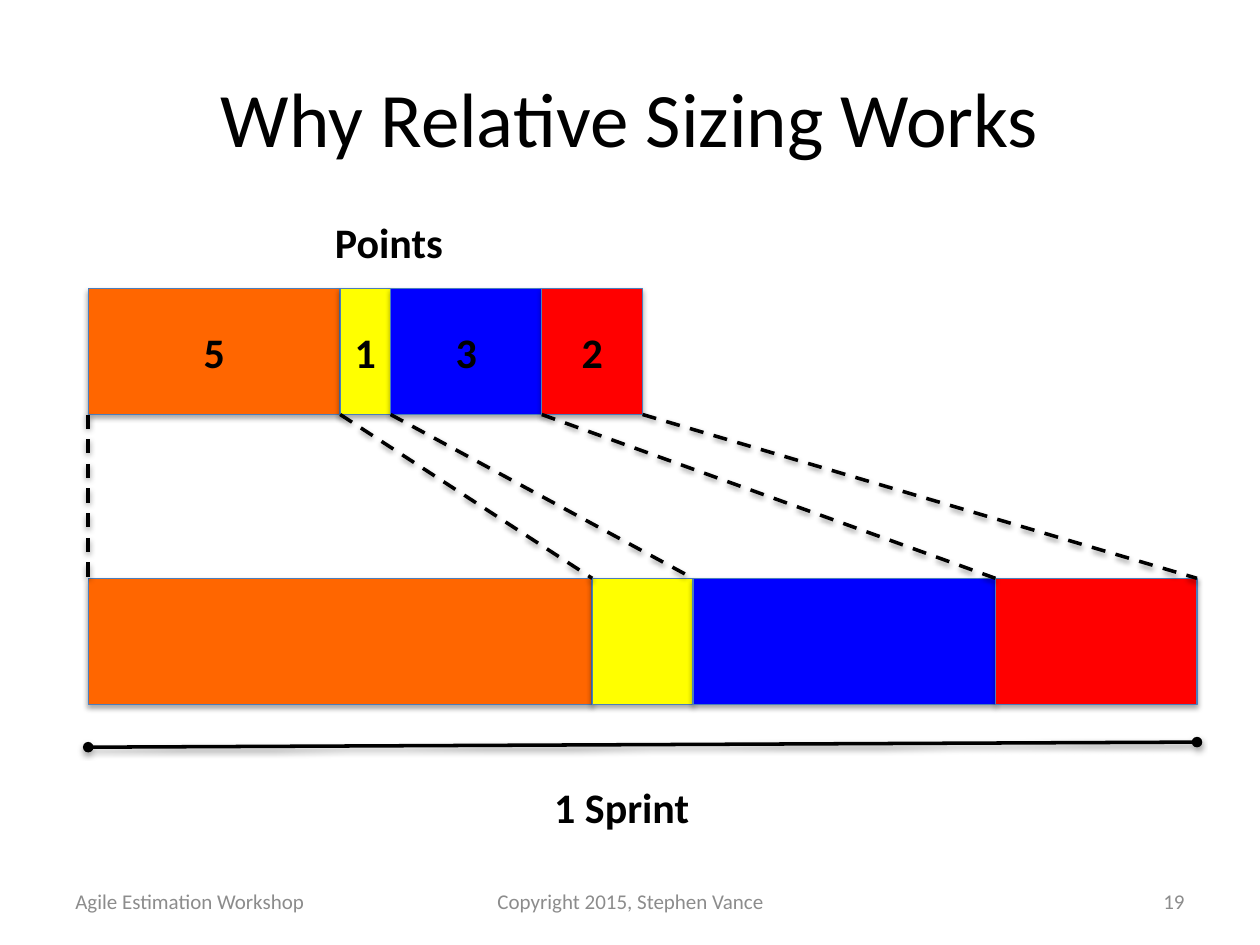
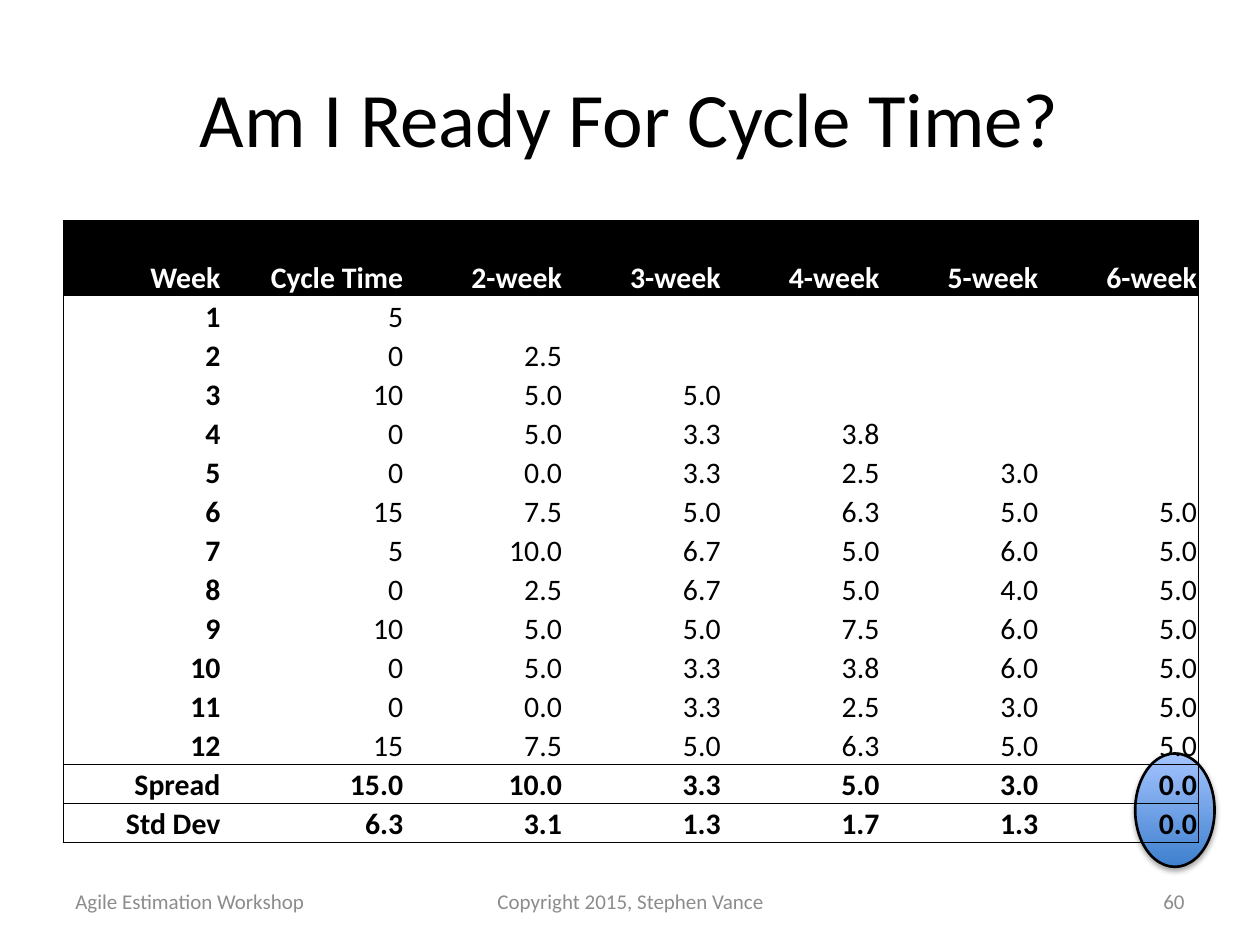
import pptx
import pptx.util
import pptx.dml.color
import pptx.enum.dml
import pptx.enum.shapes
import pptx.enum.text
import pptx.oxml.ns
from lxml import etree

Inches = pptx.util.Inches
Pt = pptx.util.Pt
rgb = pptx.dml.color.RGBColor.from_string
qn = pptx.oxml.ns.qn
align = pptx.enum.text.PP_ALIGN
anchor = pptx.enum.text.MSO_ANCHOR
kinds = pptx.enum.shapes.MSO_SHAPE
straight = pptx.enum.shapes.MSO_CONNECTOR.STRAIGHT

colors = {
    "black": "000000", "white": "FFFFFF", "gray": "8C8C8C", "edge": "4B7EBC",
    "orange": "FF6600", "yellow": "FFFF00", "blue": "0000FF", "red": "FF0000",
    "deep": "3F80CE", "pale": "A4C4FF",
}


def write(frame, words, size, color="black", bold=False, side=align.CENTER):
    frame.text = words
    line = frame.paragraphs[0]
    line.alignment = side
    for run in line.runs:
        run.font.name = "Calibri"
        run.font.size = Pt(size)
        run.font.bold = bold
        run.font.color.rgb = rgb(colors[color])


def shade(part, alpha, drop):
    props = part._element.spPr
    effects = props.find(qn("a:effectLst"))
    if effects is None:
        effects = etree.SubElement(props, qn("a:effectLst"))
    shadow = etree.SubElement(effects, qn("a:outerShdw"), blurRad="40000",
                              dist=str(drop), dir="5400000", rotWithShape="0")
    tint = etree.SubElement(shadow, qn("a:srgbClr"), val=colors["black"])
    etree.SubElement(tint, qn("a:alpha"), val=str(alpha * 1000))


deck = pptx.Presentation()
deck.slide_width = Inches(10)
deck.slide_height = Inches(7.5)
sizing = deck.slides.add_slide(deck.slide_layouts[6])
cycle = deck.slides.add_slide(deck.slide_layouts[6])

oval = cycle.shapes.add_shape(kinds.OVAL, Inches(9.01), Inches(5.98),
                              Inches(0.63), Inches(0.9))
oval.shadow.inherit = False
oval.fill.gradient()
oval.fill.gradient_angle = 90
for stop, color in zip(oval.fill.gradient_stops, ("deep", "pale")):
    stop.color.rgb = rgb(colors[color])
oval.line.color.rgb = rgb(colors["black"])
oval.line.width = Pt(1.5)
shade(oval, 35, 23000)

for slide, title, page in ((sizing, "Why Relative Sizing Works", "19"),
                           (cycle, "Am I Ready For Cycle Time?", "60")):
    for words, left, top, width, height, size, color, side in (
        (title, 0.5, 0.3, 9, 1.25, 44, "black", align.CENTER),
        ("Agile Estimation Workshop", 0.5, 6.95, 2.33, 0.4, 12, "gray", align.LEFT),
        ("Copyright 2015, Stephen Vance", 3.42, 6.95, 3.17, 0.4, 12, "gray", align.CENTER),
        (page, 7.17, 6.95, 2.33, 0.4, 12, "gray", align.RIGHT),
    ):
        box = slide.shapes.add_textbox(Inches(left), Inches(top), Inches(width), Inches(height))
        box.text_frame.word_wrap = True
        box.text_frame.vertical_anchor = anchor.MIDDLE
        write(box.text_frame, words, size, color, side=side)

start = 0.7
high, low, tall = 2.29, 4.59, 1
tasks = ((5, "orange"), (1, "yellow"), (3, "blue"), (2, "red"))
group = sizing.shapes.add_group_shape()
for shapes, top, scale, named in ((sizing.shapes, high, 0.4, True),
                                  (group.shapes, low, 0.8, False)):
    done = 0
    for points, color in tasks:
        bar = shapes.add_shape(kinds.RECTANGLE, Inches(start + done * scale), Inches(top),
                               Inches(points * scale), Inches(tall))
        bar.shadow.inherit = False
        bar.fill.solid()
        bar.fill.fore_color.rgb = rgb(colors[color])
        bar.line.color.rgb = rgb(colors["edge"])
        bar.line.width = Pt(0.75)
        shade(bar, 35, 23000)
        if named:
            bar.text_frame.vertical_anchor = anchor.MIDDLE
            write(bar.text_frame, str(points), 24, bold=True)
        done += points

lines = [(start + sum(points for points, color in tasks[:i]) * 0.4, high + tall,
          start + sum(points for points, color in tasks[:i]) * 0.8, low, True)
         for i in range(len(tasks) + 1)]
lines.append((start, 5.93, 9.5, 5.89, False))
for left, top, right, base, dashed in lines:
    link = sizing.shapes.add_connector(straight, Inches(left), Inches(top),
                                       Inches(right), Inches(base))
    link.line.color.rgb = rgb(colors["black"])
    link.line.width = Pt(2)
    if dashed:
        link.line.dash_style = pptx.enum.dml.MSO_LINE.DASH
    else:
        for end in ("a:headEnd", "a:tailEnd"):
            etree.SubElement(link.line._get_or_add_ln(), qn(end), type="oval")
    shade(link, 38, 20000)

for words, left, top, width in (("Points", 2.56, 1.67, 1.08), ("1 Sprint", 4.3, 6.15, 1.29)):
    label = sizing.shapes.add_textbox(Inches(left), Inches(top), Inches(width), Inches(0.5))
    label.text_frame.word_wrap = False
    label.text_frame.auto_size = pptx.enum.text.MSO_AUTO_SIZE.SHAPE_TO_FIT_TEXT
    write(label.text_frame, words, 24, bold=True, side=align.LEFT)

rows = (
    ("Week", "Cycle Time", "2-week", "3-week", "4-week", "5-week", "6-week"),
    ("1", "5"),
    ("2", "0", "2.5"),
    ("3", "10", "5.0", "5.0"),
    ("4", "0", "5.0", "3.3", "3.8"),
    ("5", "0", "0.0", "3.3", "2.5", "3.0"),
    ("6", "15", "7.5", "5.0", "6.3", "5.0", "5.0"),
    ("7", "5", "10.0", "6.7", "5.0", "6.0", "5.0"),
    ("8", "0", "2.5", "6.7", "5.0", "4.0", "5.0"),
    ("9", "10", "5.0", "5.0", "7.5", "6.0", "5.0"),
    ("10", "0", "5.0", "3.3", "3.8", "6.0", "5.0"),
    ("11", "0", "0.0", "3.3", "2.5", "3.0", "5.0"),
    ("12", "15", "7.5", "5.0", "6.3", "5.0", "5.0"),
    ("Spread", "15.0", "10.0", "3.3", "5.0", "3.0", "0.0"),
    ("Std Dev", "6.3", "3.1", "1.3", "1.7", "1.3", "0.0"),
)
last, edge = len(rows) - 1, len(rows[0]) - 1
frame = cycle.shapes.add_table(len(rows), len(rows[0]), Inches(0.5), Inches(1.75),
                               Inches(9), Inches(4.95))
table = frame.table
table.first_row = False
table.horz_banding = False
table._tbl.tblPr.find(qn("a:tableStyleId")).text = "{2D5ABB26-0587-4C30-8999-92F81FD0307C}"
for c, column in enumerate(table.columns):
    column.width = Inches(1.45 if c == 1 else 1.26)
for r, row in enumerate(rows):
    table.rows[r].height = Inches(0.6 if r == 0 else 0.31)
    for c in range(edge + 1):
        cell = table.cell(r, c)
        cell.margin_left = cell.margin_right = cell.margin_top = Inches(0.01)
        cell.margin_bottom = 0
        cell.vertical_anchor = anchor.BOTTOM
        if c < len(row):
            write(cell.text_frame, row[c], 17, "white" if r == 0 else "black",
                  r in (0, last - 1, last) or c == 0, align.RIGHT)
        else:
            etree.SubElement(cell.text_frame.paragraphs[0]._p, qn("a:endParaRPr"), sz="1700")
        for tag, drawn, width in (
            ("a:lnL", c == 0, 0.5),
            ("a:lnR", c == edge, 0.5),
            ("a:lnT", r in (0, last - 1), 0.5 if r == 0 else 1),
            ("a:lnB", r in (last - 2, last), 0.5 if r == last else 1),
        ):
            if drawn:
                rule = etree.SubElement(cell._tc.get_or_add_tcPr(), qn(tag), w=str(Pt(width)))
                fill = etree.SubElement(rule, qn("a:solidFill"))
                etree.SubElement(fill, qn("a:srgbClr"), val=colors["black"])
        if r == 0:
            cell.fill.solid()
            cell.fill.fore_color.rgb = rgb(colors["black"])
        else:
            cell.fill.background()

deck.save("out.pptx")
